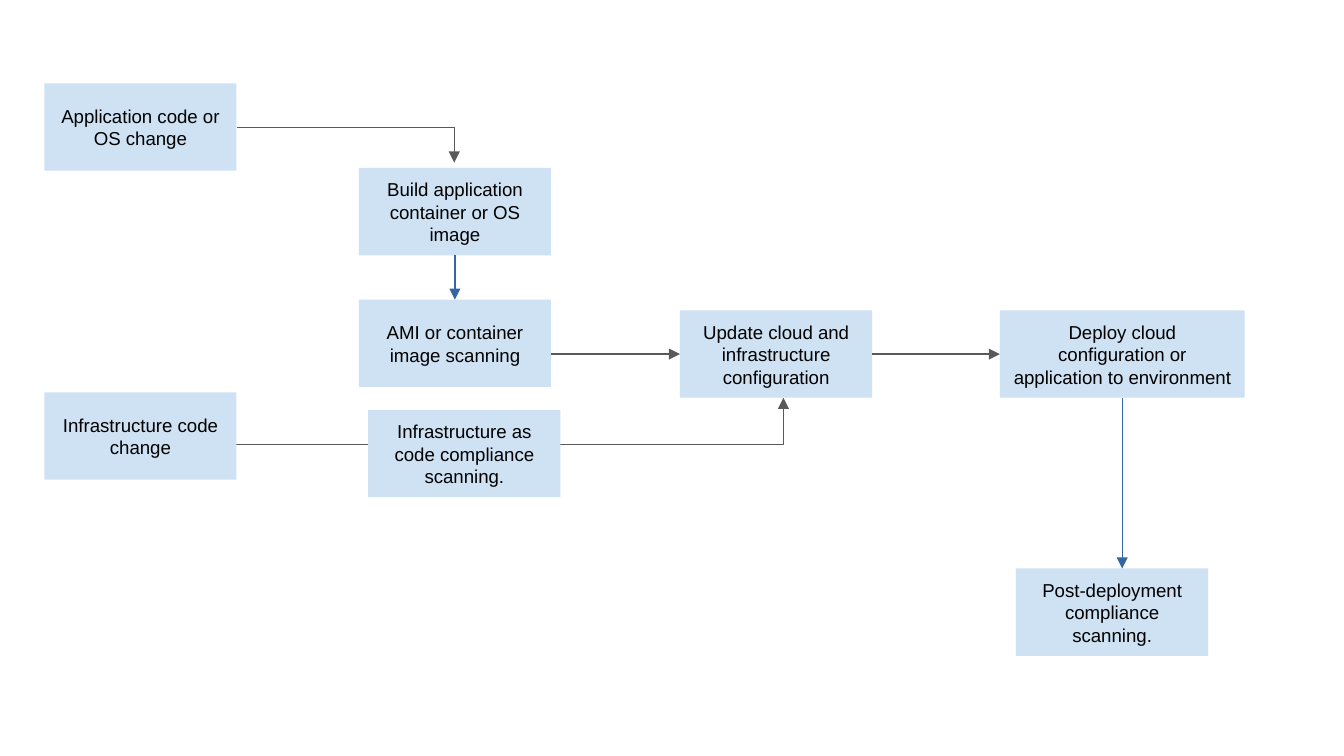
import pptx
import pptx.dml.color
import pptx.enum.shapes
import pptx.enum.text
import pptx.oxml.ns
import pptx.util
from pptx.util import Inches

TOP, LEFT, BASE, RIGHT = range(4)
WIDE, HIGH = 1.43, 0.65
ROW = 2.31
MID = ROW + HIGH / 2
GREY, BLUE = "595959", "3465A4"
KIND = pptx.enum.shapes.MSO_CONNECTOR


def tint(code):
    """Return the colour for a hex string."""
    return pptx.dml.color.RGBColor.from_string(code)


def add_box(slide, text, left, top, wide=WIDE):
    """Draw one step of the flow as a filled box with centred text."""
    box = slide.shapes.add_shape(
        pptx.enum.shapes.MSO_SHAPE.RECTANGLE,
        Inches(left), Inches(top), Inches(wide), Inches(HIGH))
    box.shadow.inherit = False
    box.fill.solid()
    box.fill.fore_color.rgb = tint("CFE2F3")
    box.line.fill.background()
    frame = box.text_frame
    frame.word_wrap = True
    frame.vertical_anchor = pptx.enum.text.MSO_ANCHOR.MIDDLE
    frame.margin_left = frame.margin_right = Inches(0.1)
    frame.margin_top = frame.margin_bottom = Inches(0.1)
    frame.text = text
    par = frame.paragraphs[0]
    par.alignment = pptx.enum.text.PP_ALIGN.CENTER
    font = par.runs[0].font
    font.name = "Arial"
    font.size = pptx.util.Pt(10)
    font.color.rgb = tint("000000")
    return box


def add_arrow(slide, start, end, code, kind=KIND.STRAIGHT):
    """Draw a connector with a triangle at its end."""
    arrow = slide.shapes.add_connector(
        kind, *[Inches(num) for num in start + end])
    arrow.line.color.rgb = tint(code)
    arrow.line.width = pptx.util.Pt(0.75)
    line = arrow.line._get_or_add_ln()
    tail = pptx.oxml.ns.qn("a:tailEnd")
    line.append(line.makeelement(tail, {"type": "triangle"}))
    props = arrow._element.spPr
    props.append(props.makeelement(pptx.oxml.ns.qn("a:effectLst"), {}))
    return arrow


def add_bend(slide, start, end):
    """Draw an arrow that runs across and then turns once."""
    arrow = add_arrow(slide, start, end, GREY, KIND.ELBOW)
    shape = arrow._element.spPr.find(pptx.oxml.ns.qn("a:prstGeom"))
    shape.set("prst", "bentConnector2")


def main():
    """Build the change and deployment flow and save it."""
    deck = pptx.Presentation()
    deck.slide_width = Inches(10)
    deck.slide_height = deck.slide_width * 9 // 16
    slide = deck.slides.add_slide(deck.slide_layouts[6])

    add_bend(slide, (1.76, 0.95), (3.38, 1.21))
    add_bend(slide, (1.76, 3.31), (5.83, 2.96))

    add_box(slide, "Application code or OS change", 0.33, 0.62)
    add_box(slide, "Infrastructure code change", 0.33, 2.92)
    build = add_box(
        slide, "Build application container or OS image", 2.67, 1.25)
    scan = add_box(slide, "AMI or container image scanning", 2.67, 2.23)
    add_box(slide, "Infrastructure as code compliance scanning.", 2.74, 3.05)
    update = add_box(
        slide, "Update cloud and infrastructure configuration", 5.06, ROW)
    deploy = add_box(
        slide, "Deploy cloud configuration or application to environment",
        7.44, ROW, 1.82)
    add_box(slide, "Post-deployment compliance scanning.", 7.56, 4.23)

    arrow = add_arrow(slide, (3.39, 1.9), (3.39, 2.23), BLUE)
    arrow.begin_connect(build, BASE)
    arrow.end_connect(scan, TOP)
    arrow = add_arrow(slide, (4.1, MID), (5.06, MID), GREY)
    arrow.end_connect(update, LEFT)
    arrow = add_arrow(slide, (6.49, MID), (7.44, MID), GREY)
    arrow.begin_connect(update, RIGHT)
    arrow.end_connect(deploy, LEFT)
    arrow = add_arrow(slide, (8.35, ROW + HIGH), (8.35, 4.23), BLUE)
    arrow.begin_connect(deploy, BASE)

    deck.save("out.pptx")


if __name__ == "__main__":
    main()
